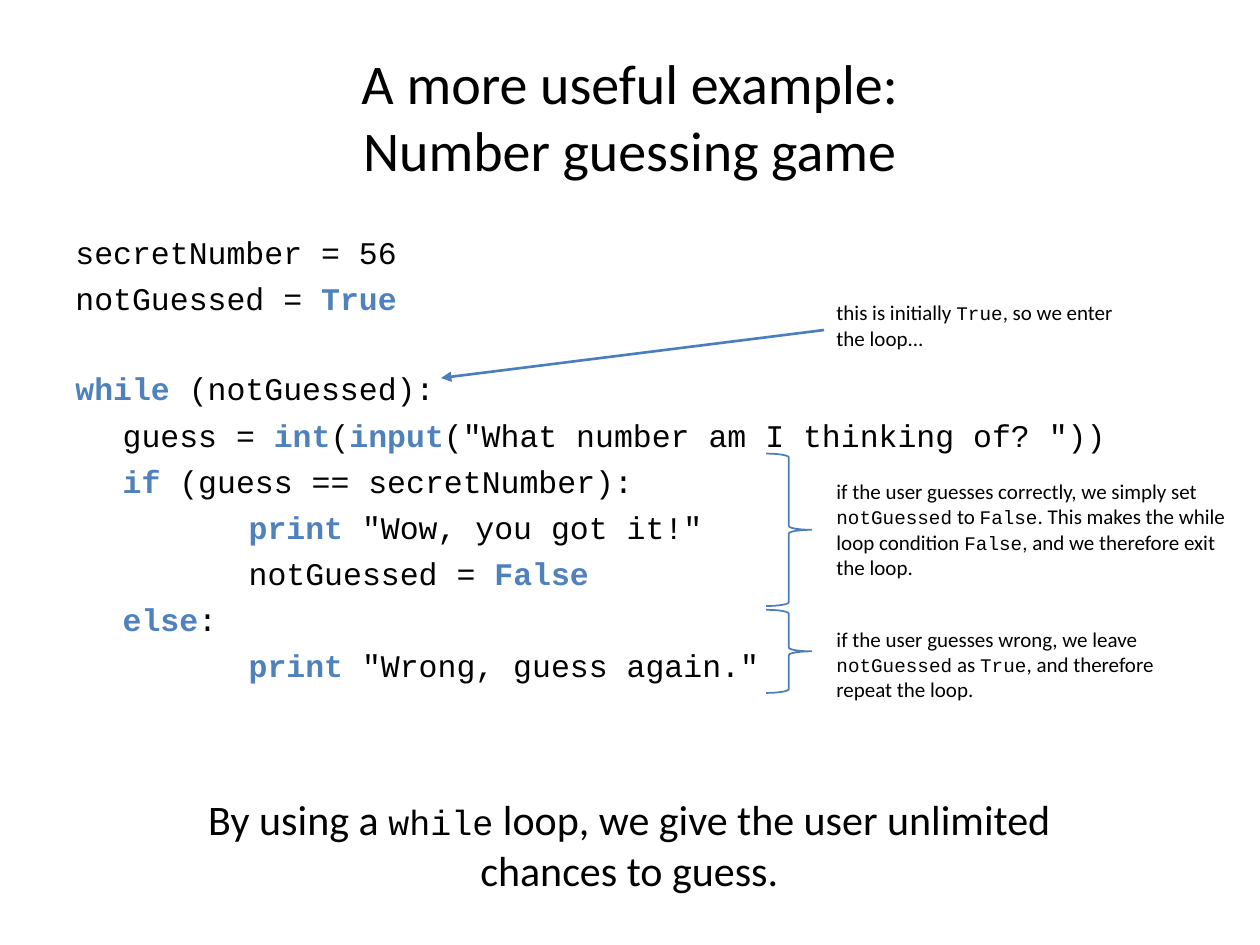
from dataclasses import dataclass

from lxml.etree import SubElement
from pptx import Presentation
from pptx.dml.color import RGBColor
from pptx.enum.shapes import MSO_CONNECTOR as Connector, MSO_SHAPE as Shape
from pptx.enum.text import MSO_ANCHOR as Anchor, PP_ALIGN as Align
from pptx.oxml.ns import qn
from pptx.util import Pt


@dataclass(frozen=True)
class Style:
    size: float
    font: str = "Calibri"
    color: str = "000000"
    bold: bool = False


@dataclass(frozen=True)
class Theme:
    title: Style = Style(32)
    code: Style = Style(18, "Courier New")
    keyword: Style = Style(18, "Courier New", "4F81BD", True)
    note: Style = Style(12)
    note_code: Style = Style(11, "Courier New")
    summary: Style = Style(24)
    summary_code: Style = Style(20, "Courier New")
    line: str = "4B7EBC"


THEME = Theme()
INDENTS = (0, 27, 99)
LINE_GAP = 4.75
BLOCK_GAP = 29.9
NOTE_LEFT = 470.9
BRACE_LEFT = 437.8

CODE = [
    (0, LINE_GAP, ["secretNumber = 56"]),
    (0, LINE_GAP, ["notGuessed = ", "True"]),
    (0, BLOCK_GAP, ["", "while ", "(notGuessed):"]),
    (1, LINE_GAP, ["guess = ", "int", "(", "input",
                   '("What number am I thinking of? "))']),
    (1, LINE_GAP, ["", "if", " (guess == secretNumber):"]),
    (2, LINE_GAP, ["", "print ", '"Wow, you got it!"']),
    (2, LINE_GAP, ["notGuessed = ", "False"]),
    (1, LINE_GAP, ["", "else", ":"]),
    (2, LINE_GAP, ["", "print ", '"Wrong, guess again."']),
]

NOTES = [
    (167.8, 185.8, 36, ["this is initially ", "True", ", so we enter the loop..."]),
    (354.2, 221.8, 51, ["if the user guesses wrong, we leave ", "notGuessed", " as ",
                        "True", ", and therefore repeat the loop."]),
    (270, 239.8, 65.5, ["if the user guesses correctly, we simply set ", "notGuessed",
                        " to ", "False", ". This makes the while loop condition ",
                        "False", ", and we therefore exit the loop."]),
]

BRACES = [(259.2, 87.1), (348.5, 47.5)]


def add_box(page, left, top, width, height, inset=3.6, anchor=Anchor.TOP):
    box = page.shapes.add_textbox(Pt(left), Pt(top), Pt(width), Pt(height))
    frame = box.text_frame
    frame.word_wrap = True
    frame.vertical_anchor = anchor
    frame.margin_top = frame.margin_bottom = Pt(inset)
    return frame


def add_span(para, text, style):
    span = para.add_run()
    span.text = text
    span.font.size = Pt(style.size)
    span.font.name = style.font
    span.font.bold = style.bold
    span.font.color.rgb = RGBColor.from_string(style.color)


def add_spans(para, texts, plain, accent):
    for index, text in enumerate(texts):
        if text:
            add_span(para, text, accent if index % 2 else plain)


def add_title(page, lines):
    para = add_box(page, 36, 21.6, 648, 90, 7.2, Anchor.BOTTOM).paragraphs[0]
    para.alignment = Align.CENTER
    for index, line in enumerate(lines):
        if index:
            para.add_line_break()
        add_span(para, line, THEME.title)


def add_code(page):
    frame = add_box(page, 36, 126, 648, 356.4, 7.2)
    for index, (level, gap, texts) in enumerate(CODE):
        para = frame.add_paragraph() if index else frame.paragraphs[0]
        para.space_before = Pt(gap)
        properties = para._p.get_or_add_pPr()
        properties.set("marL", str(Pt(INDENTS[level])))
        properties.set("indent", "0")
        add_spans(para, texts, THEME.code, THEME.keyword)


def add_note(page, top, width, height, texts):
    frame = add_box(page, NOTE_LEFT, top, width, height)
    add_spans(frame.paragraphs[0], texts, THEME.note, THEME.note_code)


def add_arrow(page, tip, start):
    arrow = page.shapes.add_connector(Connector.STRAIGHT, *map(Pt, tip + start))
    arrow.line.width = Pt(1.5)
    arrow.line.color.rgb = RGBColor.from_string(THEME.line)
    SubElement(arrow.line._get_or_add_ln(), qn("a:headEnd"), type="triangle")
    SubElement(arrow._element.spPr, qn("a:effectLst"))


def add_brace(page, top, height):
    brace = page.shapes.add_shape(
        Shape.RIGHT_BRACE, Pt(BRACE_LEFT), Pt(top), Pt(25.9), Pt(height))
    brace.shadow.inherit = False
    brace.fill.background()
    brace.line.width = Pt(1)
    brace.line.color.rgb = RGBColor.from_string(THEME.line)


def add_summary(page, texts):
    para = add_box(page, 72, 450, 575.3, 65.5).paragraphs[0]
    para.alignment = Align.CENTER
    add_spans(para, texts, THEME.summary, THEME.summary_code)


def main():
    deck = Presentation()
    deck.slide_width, deck.slide_height = Pt(720), Pt(540)
    page = deck.slides.add_slide(deck.slide_layouts[6])
    add_code(page)
    for note in NOTES:
        add_note(page, *note)
    add_arrow(page, (252, 216), (NOTE_LEFT, 188.6))
    for brace in BRACES:
        add_brace(page, *brace)
    add_summary(page, ["By using a ", "while",
                       " loop, we give the user unlimited chances to guess."])
    add_title(page, ["A more useful example:", "Number guessing game"])
    deck.save("out.pptx")


main()
